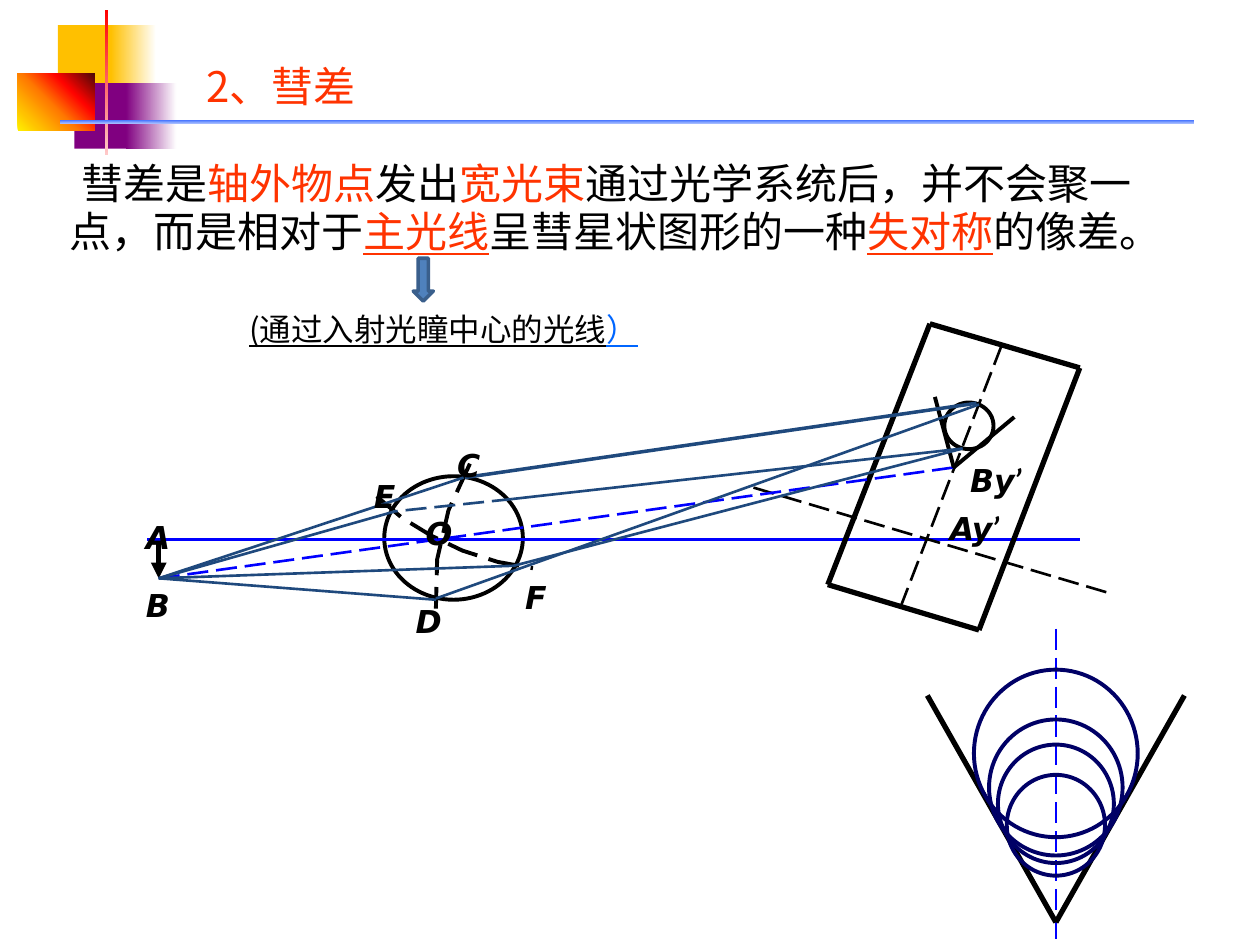
"""Build a slide that explains coma with a ray diagram and a flare of circles."""
from copy import deepcopy

from lxml import etree
from pptx import Presentation
from pptx.dml.color import RGBColor
from pptx.enum.dml import MSO_LINE
from pptx.enum.shapes import MSO_CONNECTOR, MSO_SHAPE
from pptx.enum.text import MSO_ANCHOR, MSO_AUTO_SIZE
from pptx.oxml.ns import qn
from pptx.util import Inches, Pt

RECT, OVAL, DOWN = MSO_SHAPE.RECTANGLE, MSO_SHAPE.OVAL, MSO_SHAPE.DOWN_ARROW
STRAIGHT, DASH = MSO_CONNECTOR.STRAIGHT, MSO_LINE.LONG_DASH
MIDDLE, TOP = MSO_ANCHOR.MIDDLE, MSO_ANCHOR.TOP
GROW, FIXED = MSO_AUTO_SIZE.SHAPE_TO_FIT_TEXT, MSO_AUTO_SIZE.NONE

BLACK = RGBColor(0, 0, 0)
WHITE = RGBColor(255, 255, 255)
RED = RGBColor(0xFF, 0x33, 0x00)
BLUE = RGBColor(0, 0, 255)
SKY = RGBColor(0x00, 0x66, 0xFF)
NAVY = RGBColor(0, 0, 0x66)
RAY = RGBColor(0x1F, 0x49, 0x7D)
STEEL = RGBColor(0x4F, 0x81, 0xBD)
EDGE = RGBColor(0x3A, 0x5F, 0x8C)
GOLD = RGBColor(0xFF, 0xC0, 0x00)
PLUM = RGBColor(0x80, 0x00, 0x80)
ROSE = RGBColor(0xFF, 0xC9, 0xC9)
PURE = RGBColor(255, 0, 0)
AZURE = RGBColor(0x33, 0x66, 0xFF)
PALE = RGBColor(0xA2, 0xB9, 0xFF)
LEMON = RGBColor(0xFF, 0xF2, 0x00)
FLAME = RGBColor(0xFF, 0x7A, 0x00)
BLOOD = RGBColor(0xFF, 0x03, 0x00)
DARK = RGBColor(0x4D, 0x08, 0x08)
HAN, LATIN = "Noto Sans CJK SC", "DejaVu Sans"

deck = Presentation()
deck.slide_width, deck.slide_height = Inches(10), Inches(7.5)
slide = deck.slides.add_slide(deck.slide_layouts[6])
shapes = slide.shapes
COL, ROW = deck.slide_width / 10, deck.slide_height / 7.5


def trace(pts, tint, width, dash=None):
    spots = [(int(x * COL), int(y * ROW)) for x, y in pts]
    if len(spots) == 2:
        item = shapes.add_connector(STRAIGHT, *spots[0], *spots[1])
        etree.SubElement(item._element.spPr, qn("a:effectLst"))
    else:
        path = shapes.build_freeform(*spots[0])
        path.add_line_segments(spots[1:], close=False)
        item = path.convert_to_shape()
        item.fill.background()
        item.shadow.inherit = False
    item.line.color.rgb, item.line.width = tint, Pt(width)
    if dash:
        item.line.dash_style = dash
    return item


def write(x, y, w, h, size, parts, anchor=TOP, fit=GROW, wrap=True):
    box = shapes.add_textbox(int(x * COL), int(y * ROW), int(w * COL), int(h * ROW))
    frame = box.text_frame
    frame.word_wrap, frame.auto_size, frame.vertical_anchor = wrap, fit, anchor
    for text, tint, face, under in parts:
        run = frame.paragraphs[0].add_run()
        run.text = text
        font = run.font
        font.size, font.name, font.color.rgb = Pt(size), face, tint
        if under:
            font.underline = True
        if face == HAN:
            etree.SubElement(run._r.get_or_add_rPr(), qn("a:ea"), typeface=HAN)
    return frame.paragraphs[0]


blocks = [
    (0.46, 0.2, 0.48, 0.52, 0, [(0, GOLD)]),
    (0.88, 0.2, 0.36, 0.52, 0, [(0, GOLD), (1, WHITE)]),
    (0.59, 0.66, 0.46, 0.52, 0, [(0, PLUM)]),
    (1, 0.66, 0.4, 0.52, 0, [(0, PLUM), (1, WHITE)]),
    (0.14, 0.58, 0.61, 0.46, 45, [(0, LEMON), (0.45, FLAME), (0.7, BLOOD), (1, DARK)]),
    (0.83, 0.08, 0.03, 1.15, 270, [(0, PURE), (1, ROSE)]),
    (0.48, 0.95, 9, 0.03, 270, [(0, AZURE), (1, PALE)]),
]
for x, y, w, h, angle, stops in blocks:
    block = shapes.add_shape(RECT, int(x * COL), int(y * ROW), int(w * COL), int(h * ROW))
    block.shadow.inherit = False
    block.line.fill.background()
    if len(stops) == 1:
        block.fill.solid()
        block.fill.fore_color.rgb = stops[0][1]
        continue
    block.fill.gradient()
    block.fill.gradient_angle = angle
    ramp = block._element.spPr.find(".//" + qn("a:gsLst"))
    for _ in stops[2:]:
        ramp.append(deepcopy(ramp[-1]))
    for stop, (place, tint) in zip(block.fill.gradient_stops, stops):
        stop.position, stop.color.rgb = place, tint

write(1.54, 0.36, 2.2, 0.64, 24, [("2、彗差", RED, HAN, False)], MIDDLE, FIXED)
body = write(0.45, 0.99, 8.96, 1.26, 24, [
    (" ", BLACK, "Calibri", False),
    ("彗差是", BLACK, HAN, False),
    ("轴外物点", RED, HAN, False),
    ("发出", BLACK, HAN, False),
    ("宽光束", RED, HAN, False),
    ("通过光学系统后，并不会聚一点，而是相对于", BLACK, HAN, False),
    ("主光线", RED, HAN, True),
    ("呈彗星状图形的一种", BLACK, HAN, False),
    ("失对称", RED, HAN, True),
    ("的像差。", BLACK, HAN, False),
], MIDDLE, FIXED)
body.line_spacing = 0.9
body.runs[0].font.size, body.runs[0].font.bold = Pt(32), True

tip = (8.38, 7.32)
trace([(8.38, 4.99), (8.38, 7.5)], BLUE, 1.5, DASH)
for x in (7.36, 9.4):
    trace([(x, 5.52), tip], BLACK, 3)

rings = [
    (8.38, 6.55, 0.78, 0.8, NAVY),
    (8.38, 6.38, 0.92, 0.94, NAVY),
    (8.38, 6.25, 1.06, 1.08, NAVY),
    (8.38, 5.98, 1.3, 1.33, NAVY),
    (3.6, 4.27, 1.1, 0.98, BLACK),
    (7.69, 3.38, 0.39, 0.37, BLACK),
]
for x, y, w, h, tint in rings:
    ring = shapes.add_shape(OVAL, int((x - w / 2) * COL), int((y - h / 2) * ROW),
                            int(w * COL), int(h * ROW))
    ring.shadow.inherit = False
    ring.fill.background()
    ring.line.color.rgb, ring.line.width = tint, Pt(2.25)

trace([(1.17, 4.28), (8.57, 4.28)], BLUE, 1.5)
trace([(3.73, 3.68), (3.56, 4.05), (3.47, 4.44), (3.46, 4.83)], BLACK, 2.25, DASH)
trace([(2.99, 3.94), (3.19, 4.11), (3.42, 4.25), (3.67, 4.37), (3.95, 4.46), (4.23, 4.51)],
      BLACK, 2.25, DASH)
trace([(5.98, 3.87), (8.78, 4.7)], BLACK, 1.5, DASH)
trace([(7.95, 2.74), (7.15, 4.81)], BLACK, 1.5, DASH)
plane = [(7.38, 2.57), (8.57, 2.92), (7.77, 5), (6.57, 4.64)]
for start, end in zip(plane, plane[1:] + plane[:1]):
    trace([start, end], BLACK, 3)

arrow = trace([(1.26, 4.29), (1.26, 4.59)], BLACK, 3)
etree.SubElement(arrow.line._get_or_add_ln(), qn("a:tailEnd"), type="triangle")

source, image, focus = (1.26, 4.59), (7.57, 3.71), (7.64, 3.56)
trace([source, image], BLUE, 1.5, DASH)
for end in [(4.09, 4.49), (3.46, 4.76), (3.13, 4.06), (3.68, 3.79)]:
    trace([source, end], RAY, 1.5)
for end in [(7.42, 3.15), (8.05, 3.31)]:
    trace([image, end], BLACK, 2.25)
trace([(4.07, 3.96), focus], RAY, 1.5)
trace([focus, (4.08, 4.49)], RAY, 1.5)
trace([(3.46, 4.75), (7.77, 3.21)], RAY, 1.5)
trace([(3.69, 3.79), (7.75, 3.2)], RAY, 0)
trace([(4.07, 3.96), (3.12, 4.06)], RAY, 1.5, DASH)

labels = [
    ("A", 1.06, 4.06, 0.33), ("B", 1.06, 4.6, 0.41), ("E", 2.87, 3.74, 0.33),
    ("C", 3.53, 3.49, 0.33), ("O", 3.28, 4.03, 0.33), ("D", 3.2, 4.73, 0.33),
    ("F", 4.07, 4.54, 0.33), ("Ay’", 7.44, 3.99, 0.62), ("By’", 7.6, 3.61, 0.62),
]
for text, x, y, w in labels:
    parts = [(text[:2], BLACK, LATIN, False)]
    if text[2:]:
        parts.append((text[2:], BLACK, "Lato", False))
    for run in write(x, y, w, 0.34, 18, parts).runs:
        run.font.bold = run.font.italic = True

write(1.88, 2.41, 3.36, 0.4, 18, [
    ("(通过入射光瞳中心的光线", BLACK, HAN, True),
    ("）", SKY, HAN, True),
], wrap=False)
down = shapes.add_shape(DOWN, int(3.28 * COL), int(2.05 * ROW), int(0.16 * COL), int(0.34 * ROW))
down.shadow.inherit = False
down.fill.solid()
down.fill.fore_color.rgb = STEEL
down.line.color.rgb, down.line.width = EDGE, Pt(2)

deck.save("out.pptx")
